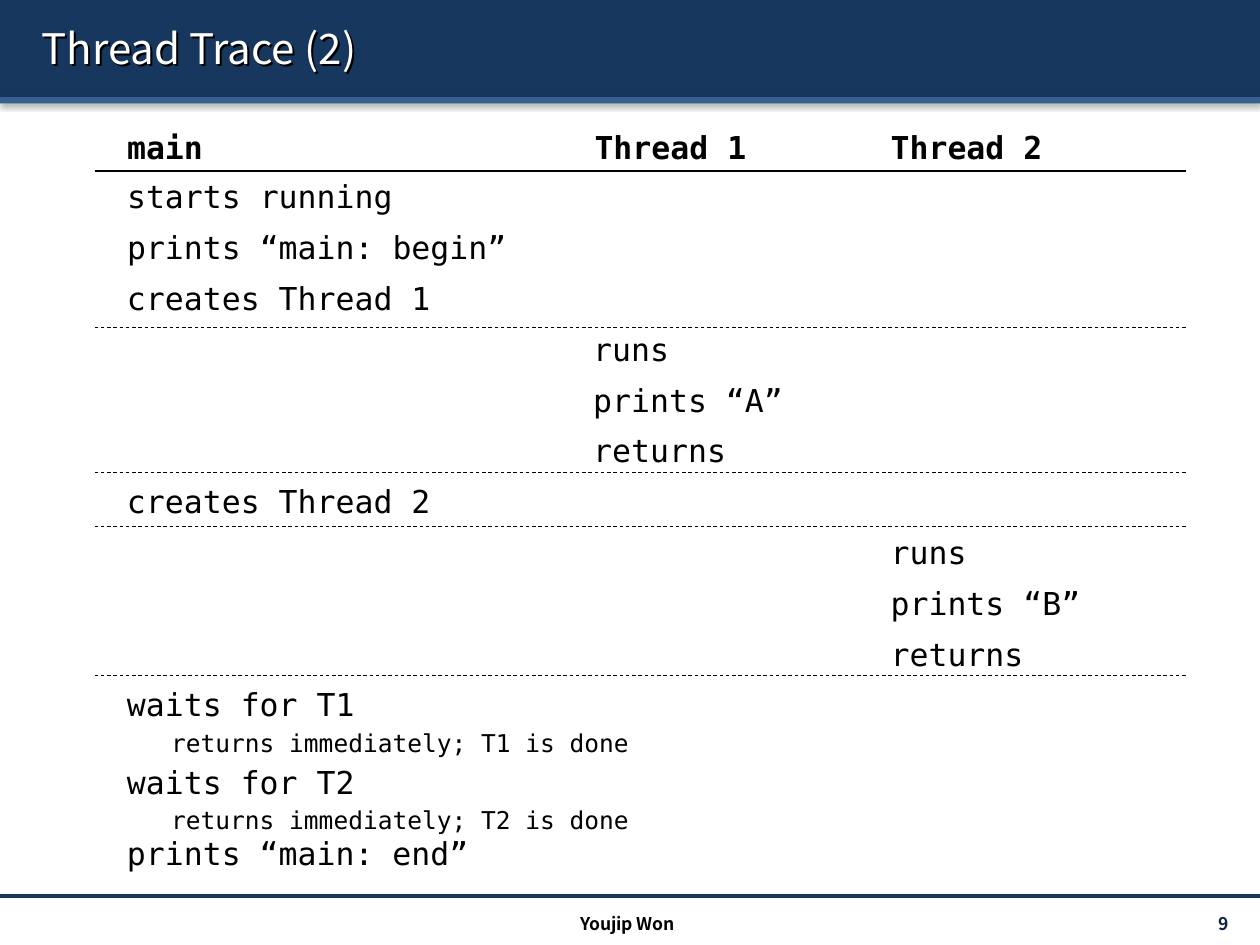
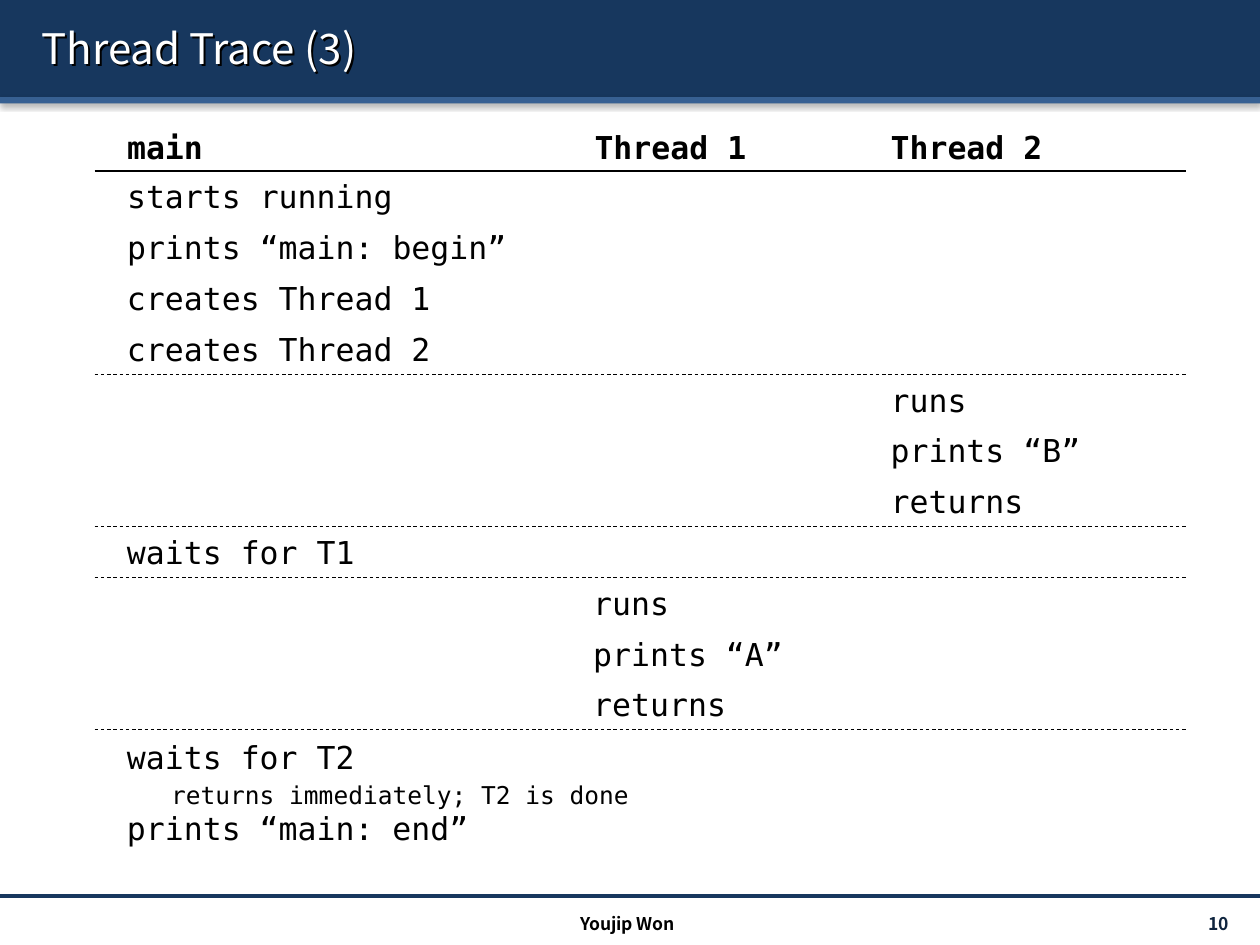
from lxml import etree
from pptx import Presentation
from pptx.dml.color import RGBColor
from pptx.enum.dml import MSO_LINE
from pptx.enum.shapes import MSO_CONNECTOR, MSO_SHAPE
from pptx.enum.text import MSO_ANCHOR, MSO_AUTO_SIZE, PP_ALIGN
from pptx.oxml import parse_xml
from pptx.oxml.ns import nsdecls, qn
from pptx.util import Inches, Pt

NAVY = RGBColor(0x17, 0x37, 0x5E)
BLUE = RGBColor(0x37, 0x60, 0x92)
INK = RGBColor(0x0F, 0x24, 0x3E)
BLACK = RGBColor(0, 0, 0)
WHITE = RGBColor(0xFF, 0xFF, 0xFF)
SANS, MONO = "Noto Sans CJK KR", "DejaVu Sans Mono"
RECT, STRAIGHT, DASH = MSO_SHAPE.RECTANGLE, MSO_CONNECTOR.STRAIGHT, MSO_LINE.DASH
LEFT, CENTER, RIGHT = PP_ALIGN.LEFT, PP_ALIGN.CENTER, PP_ALIGN.RIGHT
TOP, MIDDLE = MSO_ANCHOR.TOP, MSO_ANCHOR.MIDDLE

AUTHOR = "Youjip Won"
HEADERS = [("main", 0.91), ("Thread 1", 4.62), ("Thread 2", 6.97)]
COLUMN_X = [0.91, 4.61, 6.97]
DETAIL_X = 1.26
HEADER_Y, FIRST_ROW_Y, LAST_ROW_Y, LAST_ROW = 0.97, 1.36, 5.39, 10
ROW_H = (LAST_ROW_Y - FIRST_ROW_Y) / LAST_ROW
RULE_X = (0.75, 9.41)
CHAR_W = 0.61

START = (0, ["starts running", "prints “main: begin”", "creates Thread 1"])
RUN_T1 = (1, ["runs", "prints “A”", "returns"])
RUN_T2 = (2, ["runs", "prints “B”", "returns"])
END = "prints “main: end”"
DONE = "returns immediately; {} is done"

TRACES = [
    {
        "title": "Thread Trace (2)",
        "number": "9",
        "blocks": [START, RUN_T1, (0, ["creates Thread 2"]), RUN_T2, (0, ["waits for T1"])],
        "ending": [("waits for T2", 6.01), (END, 6.57)],
        "details": [(DONE.format("T1"), 5.73), (DONE.format("T2"), 6.34)],
        "rules": [2.6, 3.75, 4.18, 5.36],
    },
    {
        "title": "Thread Trace (3)",
        "number": "10",
        "blocks": [START, (0, ["creates Thread 2"]), RUN_T2, (0, ["waits for T1"]), RUN_T1],
        "ending": [("waits for T2", 5.81), (END, 6.37)],
        "details": [(DONE.format("T2"), 6.14)],
        "rules": [2.97, 4.18, 4.58, 5.79],
    },
]


def add_shadow(sp, blur, dist, angle, alpha):
    sp._element.spPr.append(parse_xml(
        f'<a:effectLst {nsdecls("a")}><a:outerShdw blurRad="{Pt(blur)}" dist="{Pt(dist)}" '
        f'dir="{angle * 60000}" algn="t" rotWithShape="0"><a:srgbClr val="000000">'
        f'<a:alpha val="{alpha * 1000}"/></a:srgbClr></a:outerShdw></a:effectLst>'))


def add_band(slide, y, h, color):
    sp = slide.shapes.add_shape(RECT, 0, Inches(y), Inches(10), Inches(h))
    sp.fill.solid()
    sp.fill.fore_color.rgb = color
    sp.line.fill.background()
    add_shadow(sp, 3.1, 1.6, 90, 38)


def add_rule(slide, x1, x2, y, color, width, dash=None):
    line = slide.shapes.add_connector(STRAIGHT, Inches(x1), Inches(y), Inches(x2), Inches(y))
    line.line.color.rgb = color
    line.line.width = Pt(width)
    if dash:
        line.line.dash_style = dash
    etree.SubElement(line._element.spPr, qn("a:effectLst"))


def set_text(tf, text, size, font, color, bold=False, align=LEFT, anchor=TOP):
    tf.text = text
    tf.vertical_anchor = anchor
    p = tf.paragraphs[0]
    p.alignment = align
    p.font.size, p.font.name, p.font.bold = Pt(size), font, bold
    p.font.color.rgb = color


def add_text(slide, box, *style, **options):
    tf = slide.shapes.add_textbox(*map(Inches, box)).text_frame
    tf.word_wrap = True
    set_text(tf, *style, **options)
    return tf


def add_step(slide, text, x, y, size=18, bold=False):
    box = (x, y, 0.2 + len(text) * size * CHAR_W / 72, 0.1 + size / 60)
    tf = add_text(slide, box, text, size, MONO, BLACK, bold=bold)
    tf.word_wrap = False
    tf.auto_size = MSO_AUTO_SIZE.SHAPE_TO_FIT_TEXT


def add_frame(slide, title, number):
    add_band(slide, 0, 0.77, NAVY)
    add_band(slide, 0.77, 0.05, BLUE)
    add_rule(slide, 0, 10, 7.11, NAVY, 2)
    sp = slide.shapes.title
    slide.shapes._spTree.append(sp._element)
    sp.left, sp.top, sp.width, sp.height = map(Inches, (0.23, 0.06, 9.61, 0.64))
    set_text(sp.text_frame, title, 24, SANS, WHITE, anchor=MIDDLE)
    sp.fill.background()
    add_shadow(sp, 0, 1.6, 45, 100)
    add_text(slide, (8.71, 7.21, 1.14, 0.24), number, 10, SANS, INK,
             bold=True, align=RIGHT, anchor=MIDDLE)
    add_text(slide, (3.32, 7.2, 3.32, 0.24), AUTHOR, 10, SANS, BLACK, bold=True, align=CENTER)


def add_trace(slide, trace):
    add_rule(slide, *RULE_X, FIRST_ROW_Y, BLACK, 1)
    for header, x in HEADERS:
        add_step(slide, header, x, HEADER_Y, bold=True)
    steps = [(column, text) for column, texts in trace["blocks"] for text in texts]
    for row, (column, text) in enumerate(steps):
        add_step(slide, text, COLUMN_X[column], FIRST_ROW_Y + row * ROW_H)
    for text, y in trace["ending"]:
        add_step(slide, text, COLUMN_X[0], y)
    for text, y in trace["details"]:
        add_step(slide, text, DETAIL_X, y, size=14)
    for y in trace["rules"]:
        add_rule(slide, *RULE_X, y, BLACK, 0.5, DASH)


def main():
    prs = Presentation()
    prs.slide_width, prs.slide_height = Inches(10), Inches(7.5)
    for trace in TRACES:
        slide = prs.slides.add_slide(prs.slide_layouts[5])
        add_frame(slide, trace["title"], trace["number"])
        add_trace(slide, trace)
    prs.save("out.pptx")


if __name__ == "__main__":
    main()
